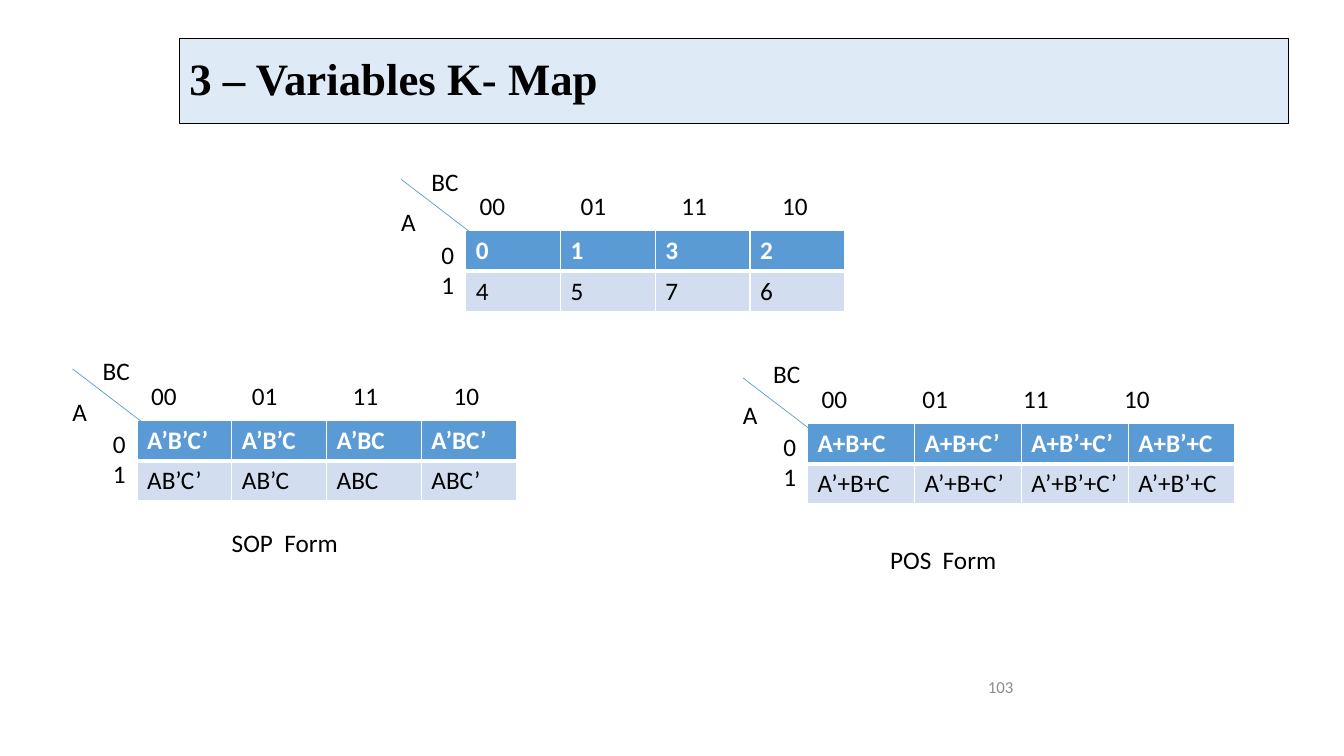
"""Build a slide of three-variable Karnaugh maps."""
from pptx import Presentation
from pptx.dml.color import RGBColor
from pptx.enum.shapes import MSO_CONNECTOR, MSO_SHAPE
from pptx.enum.text import MSO_ANCHOR, PP_ALIGN
from pptx.oxml.ns import qn
from pptx.util import Inches, Pt
from lxml import etree

RECT = MSO_SHAPE.RECTANGLE
LINE = MSO_CONNECTOR.STRAIGHT
MID, TOP = MSO_ANCHOR.MIDDLE, MSO_ANCHOR.TOP
LEFT, RIGHT = PP_ALIGN.LEFT, PP_ALIGN.RIGHT
HEX = {"ink": "000000", "white": "FFFFFF", "blue": "5B9BD5",
       "pale": "D2DEEF", "title": "DEEBF7", "gray": "8C8C8C"}
ROW = 0.4


def color(name):
    return RGBColor.from_string(HEX[name])


def write(frame, text, size=18, face="Calibri", ink="ink", bold=False,
          align=LEFT, anchor=TOP, space=None, tabs=()):
    frame.word_wrap = True
    frame.vertical_anchor = anchor
    for i, line in enumerate(text.split("\n")):
        para = frame.add_paragraph() if i else frame.paragraphs[0]
        para.alignment = align
        if space:
            para.line_spacing = space
        if tabs:
            stops = etree.SubElement(para._p.get_or_add_pPr(), qn("a:tabLst"))
            for pos in tabs:
                etree.SubElement(stops, qn("a:tab"), pos=str(Inches(pos)), algn="l")
        run = para.add_run()
        run.text = line
        font = run.font
        font.size, font.name, font.bold = Pt(size), face, bold
        font.color.rgb = color(ink)


class Deck:
    def __init__(self):
        self.prs = Presentation()
        self.prs.slide_width, self.prs.slide_height = Inches(13.33), Inches(7.5)
        self.slide = self.prs.slides.add_slide(self.prs.slide_layouts[6])
        self.shapes = self.slide.shapes

    def title(self, text, *at):
        box = self.shapes.add_shape(RECT, *map(Inches, at))
        box.shadow.inherit = False
        box.fill.solid()
        box.fill.fore_color.rgb = color("title")
        box.line.color.rgb = color("ink")
        box.line.width = Pt(0.75)
        write(box.text_frame, text, size=32, face="Times New Roman",
              bold=True, anchor=MID, space=0.9)

    def label(self, text, *at, **style):
        box = self.shapes.add_textbox(*map(Inches, at))
        write(box.text_frame, text, **style)

    def line(self, *ends):
        rule = self.shapes.add_connector(LINE, *map(Inches, ends))
        rule.line.color.rgb = color("blue")
        rule.line.width = Pt(0.5)
        etree.SubElement(rule._element.spPr, qn("a:effectLst"))

    def edge(self, cell, side, width):
        line = etree.SubElement(cell._tc.get_or_add_tcPr(), qn("a:ln" + side),
                                w=str(Pt(width)))
        fill = etree.SubElement(line, qn("a:solidFill"))
        etree.SubElement(fill, qn("a:srgbClr"), val=HEX["white"])

    def table(self, rows, left, top, wide):
        count = len(rows[0])
        grid = self.shapes.add_table(len(rows), count, Inches(left), Inches(top),
                                     Inches(wide * count), Inches(ROW * len(rows))).table
        grid.first_row = grid.horz_banding = False
        for col in grid.columns:
            col.width = Inches(wide)
        for r, row in enumerate(rows):
            head = r == 0
            for c, text in enumerate(row):
                cell = grid.cell(r, c)
                for side, width in zip("LRTB", (1, 1, 1, 3) if head else (1, 1, 3, 1)):
                    self.edge(cell, side, width)
                cell.fill.solid()
                cell.fill.fore_color.rgb = color("blue" if head else "pale")
                write(cell.text_frame, text, bold=head, ink="white" if head else "ink")

    def kmap(self, rows, left, top, wide, span, drop=0):
        self.table(rows, left, top, wide)
        slant = top + drop
        self.line(left - 0.64, slant - 0.51, left + 0.04, slant + 0.01)
        self.label("00\t01\t11\t10", left + 0.04, top - 0.45, span, 0.4, tabs=(1, 2, 3))
        self.label("BC", left - 0.44, top - 0.69, 0.53, 0.4)
        self.label("A", left - 0.74, top - 0.29, 0.4, 0.4)
        self.label("0\n1", left - 0.34, top + 0.03, 0.22, 0.71)


def main():
    deck = Deck()
    deck.title("3 – Variables K- Map", 1.78, 0.38, 11, 0.85)
    deck.label("103", 9.4, 6.61, 0.75, 0.4, size=12, ink="gray",
               align=RIGHT, anchor=MID)
    cells = [["0", "1", "3", "2"], ["4", "5", "7", "6"]]
    sums = [["A+B+C", "A+B+C’", "A+B’+C’", "A+B’+C"],
            ["A’+B+C", "A’+B+C’", "A’+B’+C’", "A’+B’+C"]]
    terms = [["A’B’C’", "A’B’C", "A’BC", "A’BC’"],
             ["AB’C’", "AB’C", "ABC", "ABC’"]]
    deck.kmap(cells, 4.62, 2.29, 0.94, 3.77)
    deck.kmap(sums, 8.01, 4.2, 1.06, 4.03, drop=0.06)
    deck.kmap(terms, 1.36, 4.17, 0.94, 4.15)
    deck.label("SOP  Form", 2.2, 5.18, 1.98, 0.42)
    deck.label("POS  Form", 8.73, 5.35, 1.98, 0.42)
    deck.prs.save("out.pptx")


if __name__ == "__main__":
    main()
